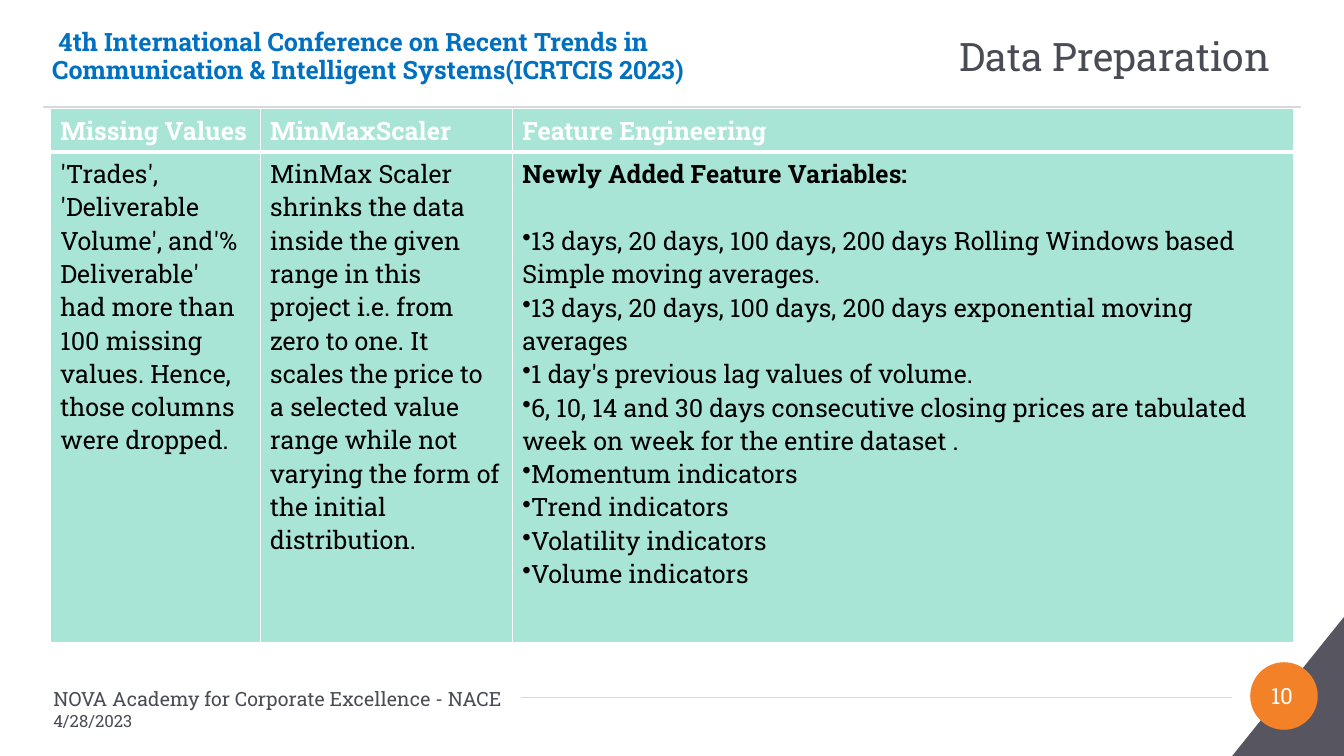
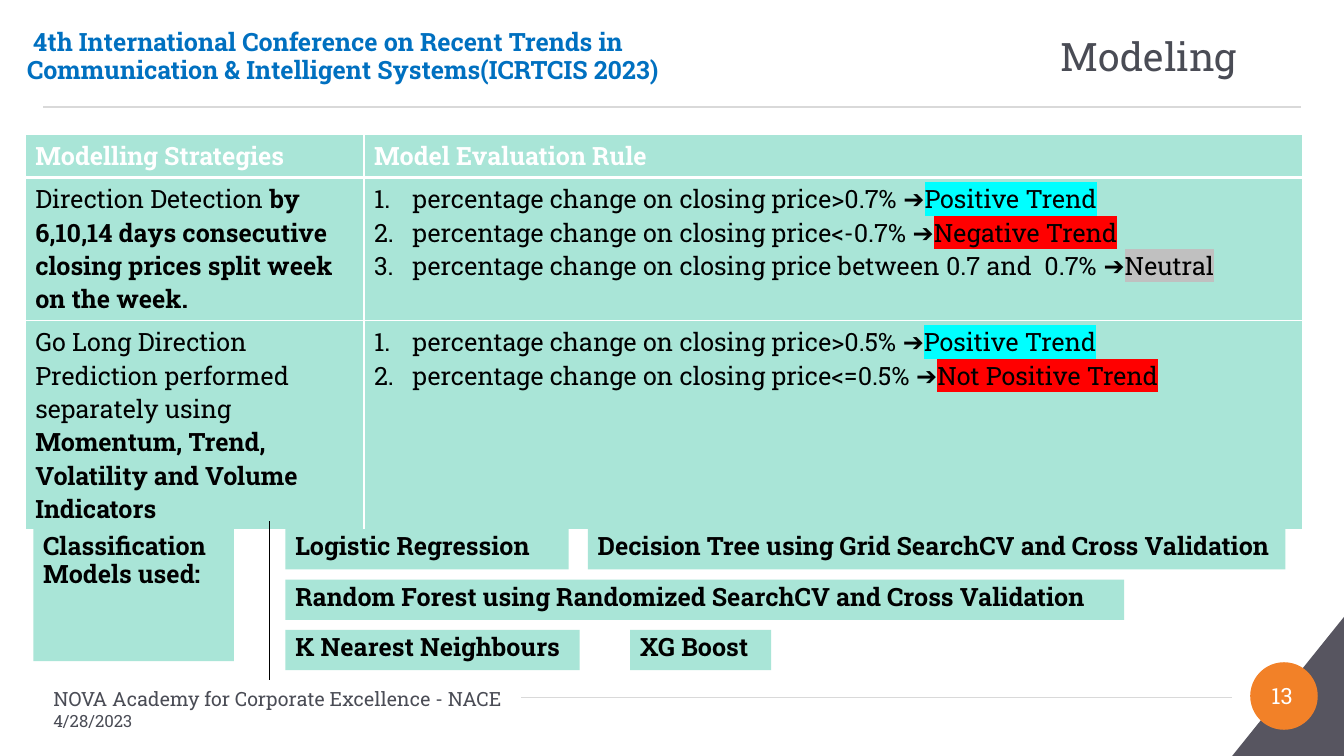
from dataclasses import dataclass
from typing import Any, Optional

from lxml.etree import SubElement
from pptx import Presentation
from pptx.dml.color import RGBColor
from pptx.enum.shapes import MSO_CONNECTOR as Link, MSO_SHAPE as Form
from pptx.enum.text import MSO_ANCHOR as Anchor, MSO_AUTO_SIZE as Auto, PP_ALIGN as Align
from pptx.oxml.ns import qn
from pptx.util import Inches, Pt

FONT = "Roboto Slab"
WHITE = RGBColor(0xFF, 0xFF, 0xFF)
BLACK = RGBColor(0, 0, 0)
MINT = RGBColor(0xA9, 0xE5, 0xD7)
SLATE = RGBColor(0x4A, 0x4C, 0x55)
DARK = RGBColor(0x57, 0x55, 0x60)
AMBER = RGBColor(0xF2, 0x81, 0x28)
BLUE = RGBColor(0x00, 0x70, 0xC0)
RULE = RGBColor(0xD9, 0xD9, 0xD9)
CYAN = RGBColor(0x00, 0xFF, 0xFF)
RED = RGBColor(0xFF, 0, 0)
GRAY = RGBColor(0xC0, 0xC0, 0xC0)

EVENT = (" 4th International Conference on Recent Trends in "
         "Communication & Intelligent Systems(ICRTCIS 2023)")
SCHOOL = "NOVA Academy for Corporate Excellence - NACE"
DATE = "4/28/2023"


@dataclass
class Bit:
    text: str
    bold: bool = False
    size: float = 18
    color: RGBColor = BLACK
    glow: Optional[RGBColor] = None


@dataclass
class Para:
    bits: list[Bit]
    sign: str = ""
    lead: float = 0
    pitch: float = 1.0
    align: Align = Align.LEFT


@dataclass
class Box:
    left: float
    top: float
    width: float
    height: float

    def spots(self) -> list[int]:
        return [Inches(n) for n in (self.left, self.top, self.width, self.height)]


@dataclass
class Label:
    text: str
    box: Box


@dataclass
class Grid:
    left: float
    top: float
    cols: list[float]
    rows: list[float]
    heads: list[str]
    body: list[list[list[Para]]]


@dataclass
class Page:
    title: str
    number: str
    start: float
    shift: float
    grid: Grid


def put(item: Any, **values: Any) -> None:
    for name, value in values.items():
        setattr(item, name, value)


def mark(para: Any, sign: str) -> None:
    props = para._p.get_or_add_pPr()
    if sign == "1.":
        props.set("marL", str(Inches(0.38)))
        props.set("indent", str(-Inches(0.38)))
        SubElement(props, qn("a:buFont"), typeface="+mj-lt")
        SubElement(props, qn("a:buAutoNum"), type="arabicPeriod")
    else:
        props.set("marL", "0")
        props.set("indent", "0")
        SubElement(props, qn("a:buChar"), char=sign)


def write(frame: Any, paras: list[Para], anchor: Anchor = Anchor.TOP) -> None:
    put(frame, word_wrap=True, vertical_anchor=anchor)
    for spot, item in enumerate(paras):
        para = frame.add_paragraph() if spot else frame.paragraphs[0]
        put(para, alignment=item.align, line_spacing=item.pitch, space_before=Pt(item.lead))
        if item.sign:
            mark(para, item.sign)
        for bit in item.bits:
            run = para.add_run()
            run.text = bit.text
            put(run.font, name=FONT, size=Pt(bit.size), bold=bit.bold)
            run.font.color.rgb = bit.color
            if bit.glow is not None:
                props = run._r.get_or_add_rPr()
                glow = SubElement(props, qn("a:highlight"))
                SubElement(glow, qn("a:srgbClr"), val=str(bit.glow))
                props.find(qn("a:solidFill")).addnext(glow)


def paint(shape: Any, color: RGBColor) -> Any:
    shape.shadow.inherit = False
    shape.fill.solid()
    shape.fill.fore_color.rgb = color
    shape.line.fill.background()
    return shape


def text(slide: Any, box: Box, paras: list[Para], anchor: Anchor = Anchor.TOP) -> None:
    write(slide.shapes.add_textbox(*box.spots()).text_frame, paras, anchor)


def line(slide: Any, start: tuple[float, float], end: tuple[float, float],
         color: RGBColor, width: float) -> None:
    rule = slide.shapes.add_connector(Link.STRAIGHT, *[Inches(n) for n in start + end])
    rule.line.color.rgb = color
    rule.line.width = Pt(width)
    SubElement(rule._element.spPr, qn("a:effectLst"))


def edge(cell: Any, row: int) -> None:
    props = cell._tc.get_or_add_tcPr()
    sides = {"L": 1, "R": 1, "T": 3 if row == 1 else 1, "B": 1 if row else 3}
    for spot, (side, width) in enumerate(sides.items()):
        rim = SubElement(props, qn(f"a:ln{side}"), w=str(Pt(width)))
        fill = SubElement(rim, qn("a:solidFill"))
        SubElement(fill, qn("a:srgbClr"), val=str(WHITE))
        props.insert(spot, rim)


def table(slide: Any, grid: Grid) -> None:
    box = Box(grid.left, grid.top, sum(grid.cols), sum(grid.rows))
    sheet = slide.shapes.add_table(len(grid.rows), len(grid.cols), *box.spots()).table
    for col, width in zip(sheet.columns, grid.cols):
        col.width = Inches(width)
    for row, height in zip(sheet.rows, grid.rows):
        row.height = Inches(height)
    heads = [[Para([Bit(head, True, color=WHITE)])] for head in grid.heads]
    for row, cells in enumerate([heads, *grid.body]):
        for col, paras in enumerate(cells):
            cell = sheet.cell(row, col)
            cell.fill.solid()
            cell.fill.fore_color.rgb = MINT
            edge(cell, row)
            write(cell.text_frame, paras)


def label(slide: Any, item: Label) -> None:
    shape = paint(slide.shapes.add_shape(Form.RECTANGLE, *item.box.spots()), MINT)
    write(shape.text_frame, [Para([Bit(item.text, True)], pitch=0.9)])


def build(deck: Any, page: Page) -> Any:
    slide = deck.slides.add_slide(deck.slide_layouts[5])
    line(slide, (0.43, 1.06), (12.9, 1.06), RULE, 1)
    line(slide, (5.17, 6.92), (12.22, 6.92), RULE, 1)
    pen = slide.shapes.build_freeform(Inches(12.22), Inches(7.5))
    pen.add_line_segments([(Inches(13.33), Inches(7.5)), (Inches(13.33), Inches(6.12))])
    paint(pen.convert_to_shape(), DARK)
    paint(slide.shapes.add_shape(Form.OVAL, *Box(12.4, 6.57, 0.67, 0.67).spots()), AMBER)

    title = slide.shapes.title
    spots = Box(page.start, 0.17, 12.84 - page.start, 0.76).spots()
    put(title, **dict(zip(("left", "top", "width", "height"), spots)))
    title.text_frame.auto_size = Auto.NONE
    write(title.text_frame, [Para([Bit(page.title, size=28, color=SLATE)])], Anchor.MIDDLE)

    text(slide, Box(12.39, 6.57, 0.65, 0.67),
         [Para([Bit(page.number, size=16, color=WHITE)], align=Align.CENTER)], Anchor.MIDDLE)
    text(slide, Box(0.43, 6.83, 4.92, 0.4),
         [Para([Bit(SCHOOL, size=14, color=SLATE)]), Para([Bit(DATE, size=12, color=SLATE)])],
         Anchor.MIDDLE)
    table(slide, page.grid)
    text(slide, Box(page.shift, 0.25, 6.67, 0.71),
         [Para([Bit(EVENT, True, color=BLUE)], pitch=0.9)])
    return slide


def plain(words: str, strong: str = "") -> list[Para]:
    bits = [Bit(words)]
    if strong:
        bits.append(Bit(strong, True))
    return [Para(bits)]


def rules(*pairs: tuple[str, str, RGBColor]) -> list[Para]:
    return [Para([Bit(f"percentage change on closing price{test} ➔"), Bit(trend, glow=glow)], "1.")
            for test, trend, glow in pairs]


POINTS = [
    "13 days, 20 days, 100 days, 200 days Rolling Windows based Simple moving averages.",
    "13 days, 20 days, 100 days, 200 days exponential moving averages",
    "1 day's previous lag values of volume.",
    "6, 10, 14 and 30 days consecutive closing prices are tabulated week on week "
    "for the entire dataset .",
    *[f"{kind} indicators" for kind in ("Momentum", "Trend", "Volatility", "Volume")],
]

PREP = Page("Data Preparation", "10", 9.42, 0.42, Grid(
    0.5, 1.08, [2.08, 2.5, 7.75], [0.43, 4.87],
    ["Missing Values", "MinMaxScaler", "Feature Engineering"],
    [[plain("'Trades', 'Deliverable Volume', and'% Deliverable' had more than 100 "
            "missing values. Hence, those columns were dropped."),
      plain("MinMax Scaler shrinks the data inside the given range in this project i.e. "
            "from zero to one. It scales the price to a selected value range while not "
            "varying the form of the initial distribution."),
      [Para([Bit("Newly Added Feature Variables:", True)]),
       *[Para([Bit(point)], "•", 0 if spot else 24) for spot, point in enumerate(POINTS)]]]]))

MODEL = Page("Modeling", "13", 10.42, 0.17, Grid(
    0.25, 1.33, [3.36, 9.31], [0.43, 1.42, 2.07],
    ["Modelling Strategies", "Model Evaluation Rule"],
    [[plain("Direction Detection ",
            "by 6,10,14 days consecutive closing prices split week on the week."),
      rules((">0.7%", "Positive Trend", CYAN), ("<-0.7%", "Negative Trend", RED),
            (" between 0.7 and  0.7%", "Neutral", GRAY))],
     [plain("Go Long Direction Prediction performed separately using ",
            "Momentum, Trend, Volatility and Volume Indicators"),
      rules((">0.5%", "Positive Trend", CYAN), ("<=0.5%", "Not Positive Trend", RED))]]))

TOP, STEP, TALL = 5.25, 0.5, 0.4
KINDS = [
    [("Logistic Regression", 2.83, 2.81),
     ("Decision Tree using Grid SearchCV and Cross Validation", 5.83, 6.92)],
    [("Random Forest using Randomized SearchCV and Cross Validation", 2.83, 8.32)],
    [("K Nearest Neighbours", 2.83, 2.92), ("XG Boost", 6.25, 1.4)],
]


def main() -> None:
    deck = Presentation()
    put(deck, slide_width=Inches(13.33), slide_height=Inches(7.5))
    build(deck, PREP)
    slide = build(deck, MODEL)
    label(slide, Label("Classification Models used:", Box(0.33, TOP, 1.99, 1.31)))
    line(slide, (2.67, 5.17), (2.67, 6.75), BLACK, 0.75)
    for row, kinds in enumerate(KINDS):
        for name, left, width in kinds:
            label(slide, Label(name, Box(left, TOP + row * STEP, width, TALL)))
    deck.save("out.pptx")


if __name__ == "__main__":
    main()
